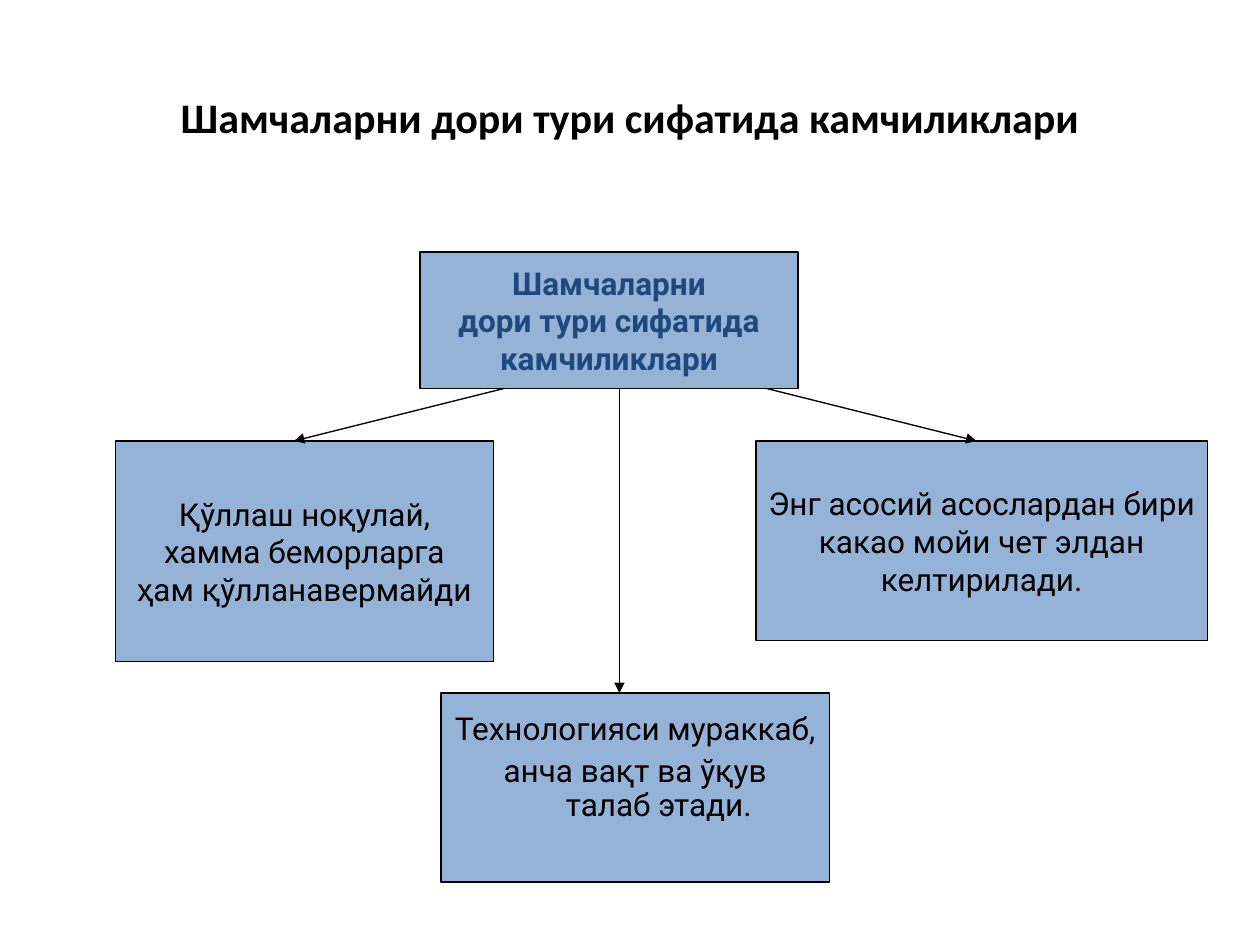
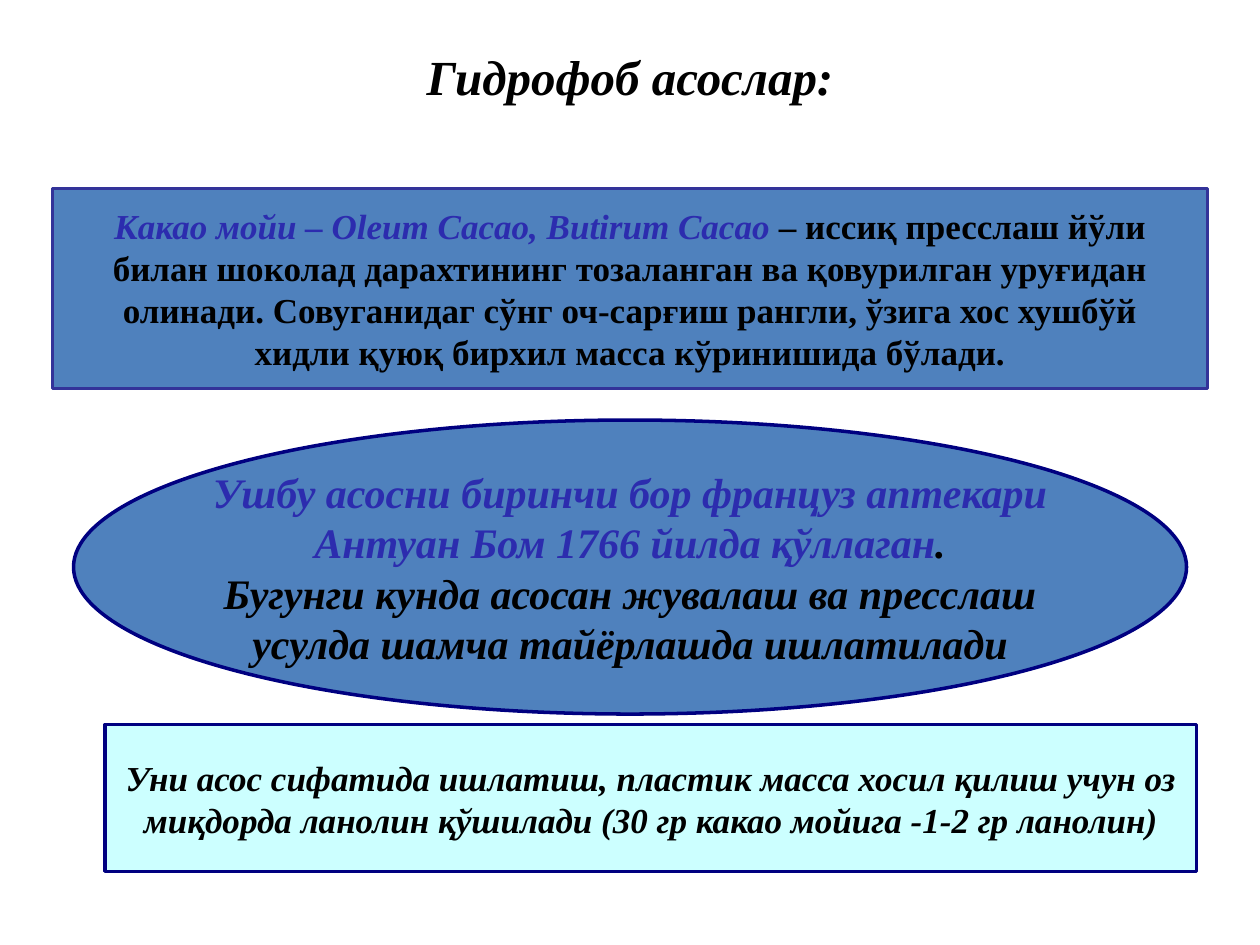
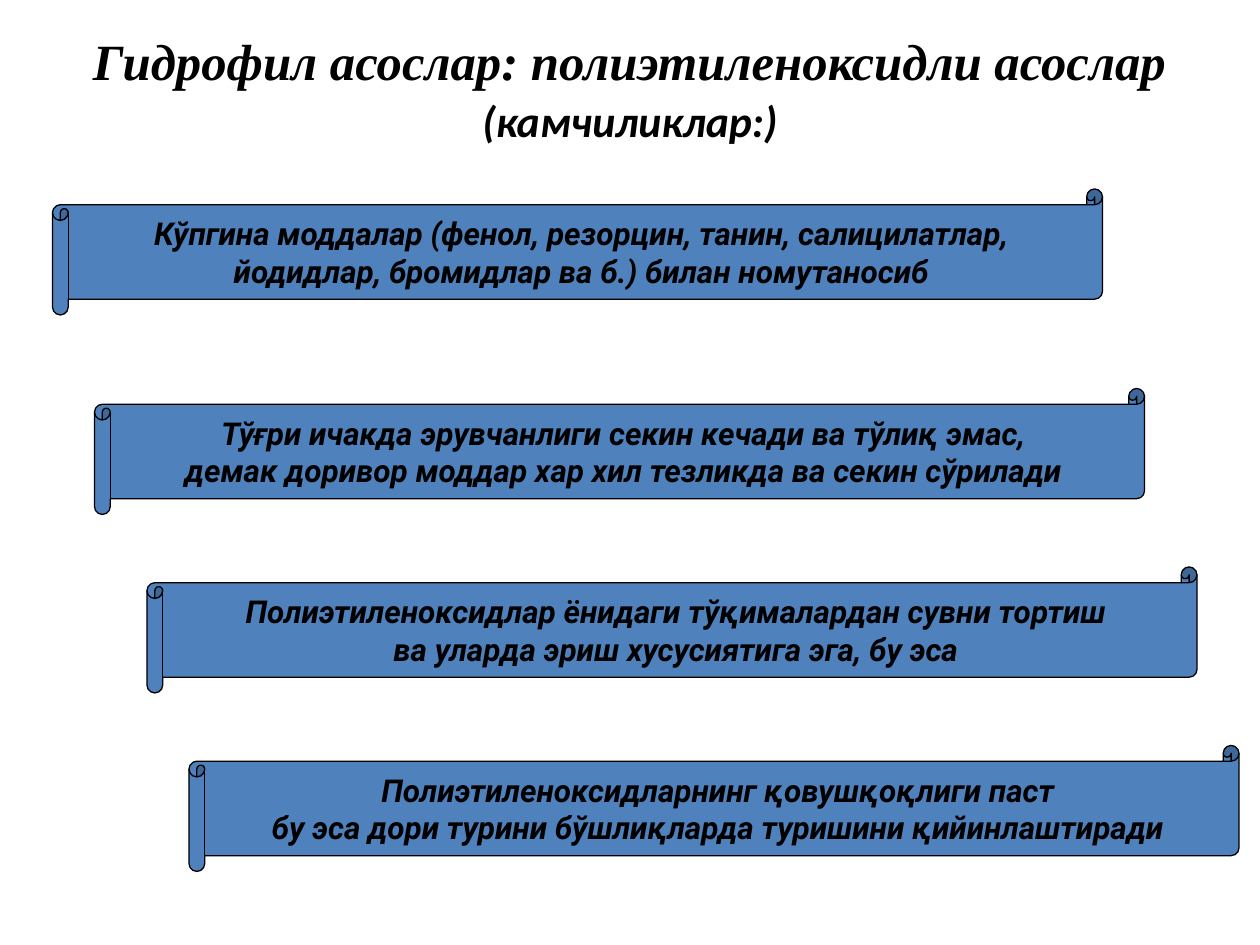
from collections import namedtuple

from pptx import Presentation
from pptx.dml.color import RGBColor
from pptx.enum.shapes import MSO_CONNECTOR as CONN, MSO_SHAPE as SHAPE
from pptx.enum.text import MSO_ANCHOR as ANCHOR, PP_ALIGN as ALIGN
from pptx.oxml.ns import qn
from pptx.util import Pt

COLORS = {
    "text": "000000",
    "root": "1F497D",
    "accent": "2C2CAE",
    "node": "95B3D7",
    "panel": "4F81BD",
    "note": "CCFFFF",
    "edge": "000000",
    "indigo": "333399",
    "navy": "000080",
}
SERIF = "Times New Roman"
DIAGRAM = {"font": "Roboto", "size": 18}
SERIF_BOLD = {"font": SERIF, "bold": True, "italic": True}


class Box(namedtuple("Box", "x y w h")):
    def at(self, x, y, w, h):
        """Return a box whose corner is given relative to this one."""
        return Box(self.x + x, self.y + y, w, h)

    def points(self):
        return [Pt(v) for v in self]


def rgb(name):
    return RGBColor.from_string(COLORS[name])


def add_run(p, text, font, size, color="text", bold=False, italic=False):
    """Add text to a paragraph, turning newlines into line breaks."""
    for i, part in enumerate(text.split("\n")):
        if i:
            p.add_line_break()
        r = p.add_run()
        r.text = part
        r.font.name, r.font.size = font, Pt(size)
        r.font.bold, r.font.italic = bold, italic
        r.font.color.rgb = rgb(color)


def write(tf, paragraphs, style, wrap=False):
    """Fill a frame; a paragraph is a string or a list of (text, style changes)."""
    tf.word_wrap = wrap
    tf.vertical_anchor = ANCHOR.MIDDLE
    for i, runs in enumerate(paragraphs):
        p = tf.add_paragraph() if i else tf.paragraphs[0]
        p.alignment = ALIGN.CENTER
        for text, changes in [(runs, {})] if isinstance(runs, str) else runs:
            add_run(p, text, **{**style, **changes})


def add_title(s, box, runs, style):
    tf = s.shapes.add_textbox(*box.points()).text_frame
    write(tf, [runs], style, wrap=True)


def add_panel(s, kind, box, fill, line, width, paragraphs, style):
    """Add a filled, outlined shape with centred text."""
    sp = s.shapes.add_shape(kind, *box.points())
    sp.shadow.inherit = False
    sp.fill.solid()
    sp.fill.fore_color.rgb = rgb(fill)
    sp.line.color.rgb = rgb(line)
    sp.line.width = Pt(width)
    write(sp.text_frame, paragraphs, style)
    return sp


def add_arrow(s, box, x1, y1, x2, y2):
    ends = (box.x + x1, box.y + y1, box.x + x2, box.y + y2)
    c = s.shapes.add_connector(CONN.STRAIGHT, *map(Pt, ends))
    c.line.color.rgb = rgb("edge")
    c.line.width = Pt(0.75)
    ln = c.line._get_or_add_ln()
    ln.append(ln.makeelement(qn("a:tailEnd"), {"type": "triangle"}))
    pr = c._element.spPr
    pr.append(pr.makeelement(qn("a:effectLst"), {}))


def hang_paragraphs(tf, indent):
    """Give every paragraph a hanging indent and tight line spacing."""
    for i, p in enumerate(tf.paragraphs):
        pPr = p._p.get_or_add_pPr()
        pPr.set("marL", str(Pt(indent)))
        pPr.set("indent", str(-Pt(indent)))
        p.line_spacing = 0.9
        if i:
            p.space_before = Pt(4.5)


def drawback_tree(s, box):
    def node(place, paragraphs, **changes):
        return add_panel(s, SHAPE.RECTANGLE, box.at(*place), "node", "edge", 0.75,
                         paragraphs, {**DIAGRAM, **changes})

    node((174, 0, 216, 78), ["Шамчаларни", "дори тури сифатида", "камчиликлари"],
         color="root", bold=True)
    node((0, 108, 216, 126),
         ["Қўллаш ноқулай,", "хамма беморларга", "ҳам қўлланавермайди"])
    technology = node((186, 252, 222, 108),
                      ["Технологияси мураккаб,", "анча вақт ва ўқув\nталаб этади."])
    hang_paragraphs(technology.text_frame, 27)
    technology.text_frame.margin_bottom = Pt(25)
    node((366, 108, 258, 114),
         ["Энг асосий асослардан бири", "какао мойи чет элдан\nкелтирилади."])

    for start, tip, tip_y in [(222, 102, 108), (372, 492, 108), (288, 288, 252)]:
        add_arrow(s, box, start, 78, tip, tip_y)


def cocoa_butter_panels(s, box):
    accent = {"color": "accent"}
    upright = {"italic": False}
    add_panel(s, SHAPE.RECTANGLE, box.at(0, 0, 660, 114), "panel", "indigo", 1.75, [
        [("Какао мойи – Oleum Cacao, Butirum Cacao", accent),
         (" – иссиқ пресслаш йўли", upright)],
        [("билан шоколад дарахтининг тозаланган ва қовурилган уруғидан", upright)],
        [("олинади. Совуганидаг сўнг оч-сарғиш рангли, ўзига хос хушбўй", upright)],
        [("хидли қуюқ бирхил масса кўринишида бўлади.", upright)],
    ], {**SERIF_BOLD, "size": 20})
    add_panel(s, SHAPE.OVAL, box.at(12, 132, 636, 168), "panel", "navy", 2, [
        [("Ушбу асосни биринчи бор француз аптекари", accent)],
        [("Антуан Бом 1766 йилда қўллаган", accent), (".", {})],
        "Бугунги кунда асосан жувалаш ва пресслаш",
        "усулда шамча тайёрлашда ишлатилади",
    ], {**SERIF_BOLD, "size": 24})
    add_panel(s, SHAPE.RECTANGLE, box.at(30, 306, 624, 84), "note", "navy", 1.75, [
        "Уни асос сифатида ишлатиш, пластик масса хосил қилиш учун оз",
        "миқдорда ланолин қўшилади (30 гр какао мойига -1-2 гр ланолин)",
    ], {**SERIF_BOLD, "size": 20})


def drawback_scrolls(s, box):
    scrolls = [
        (0, 0, ["Кўпгина моддалар (фенол, резорцин, танин, салицилатлар,",
                "йодидлар, бромидлар ва б.) билан номутаносиб"]),
        (24, 114, ["Тўғри ичакда эрувчанлиги секин кечади ва тўлиқ эмас,",
                   "демак доривор моддар хар хил тезликда ва секин сўрилади"]),
        (54, 216, ["Полиэтиленоксидлар ёнидаги тўқималардан сувни тортиш",
                   "ва уларда эриш хусусиятига эга, бу эса"]),
        (78, 318, ["Полиэтиленоксидларнинг қовушқоқлиги паст",
                   "бу эса дори турини бўшлиқларда туришини қийинлаштиради"]),
    ]
    style = {**DIAGRAM, "bold": True, "italic": True}
    for x, y, lines in scrolls:
        add_panel(s, SHAPE.HORIZONTAL_SCROLL, box.at(x, y, 600, 72),
                  "panel", "edge", 0.75, lines, style)


def main():
    prs = Presentation()
    prs.slide_width, prs.slide_height = Pt(720), Pt(540)
    slides = [
        (90, "Шамчаларни дори тури сифатида камчиликлари",
         {"font": "Calibri", "size": 24, "bold": True},
         drawback_tree, Box(66, 144, 624, 360)),
        (44, "Гидрофоб асослар:", {**SERIF_BOLD, "size": 28},
         cocoa_butter_panels, Box(30, 108, 660, 390)),
        (50.4, [("Гидрофил асослар: полиэтиленоксидли асослар", {}),
                (" ", {"font": "Calibri", "size": 36}),
                ("(камчиликлар:)", {"font": "Calibri", "size": 25})],
         {**SERIF_BOLD, "size": 29},
         drawback_scrolls, Box(30, 108, 678, 390)),
    ]
    for title_height, title, style, draw_body, body in slides:
        s = prs.slides.add_slide(prs.slide_layouts[6])
        add_title(s, Box(36, 21.6, 648, title_height), title, style)
        draw_body(s, body)
    prs.save("out.pptx")


if __name__ == "__main__":
    main()
